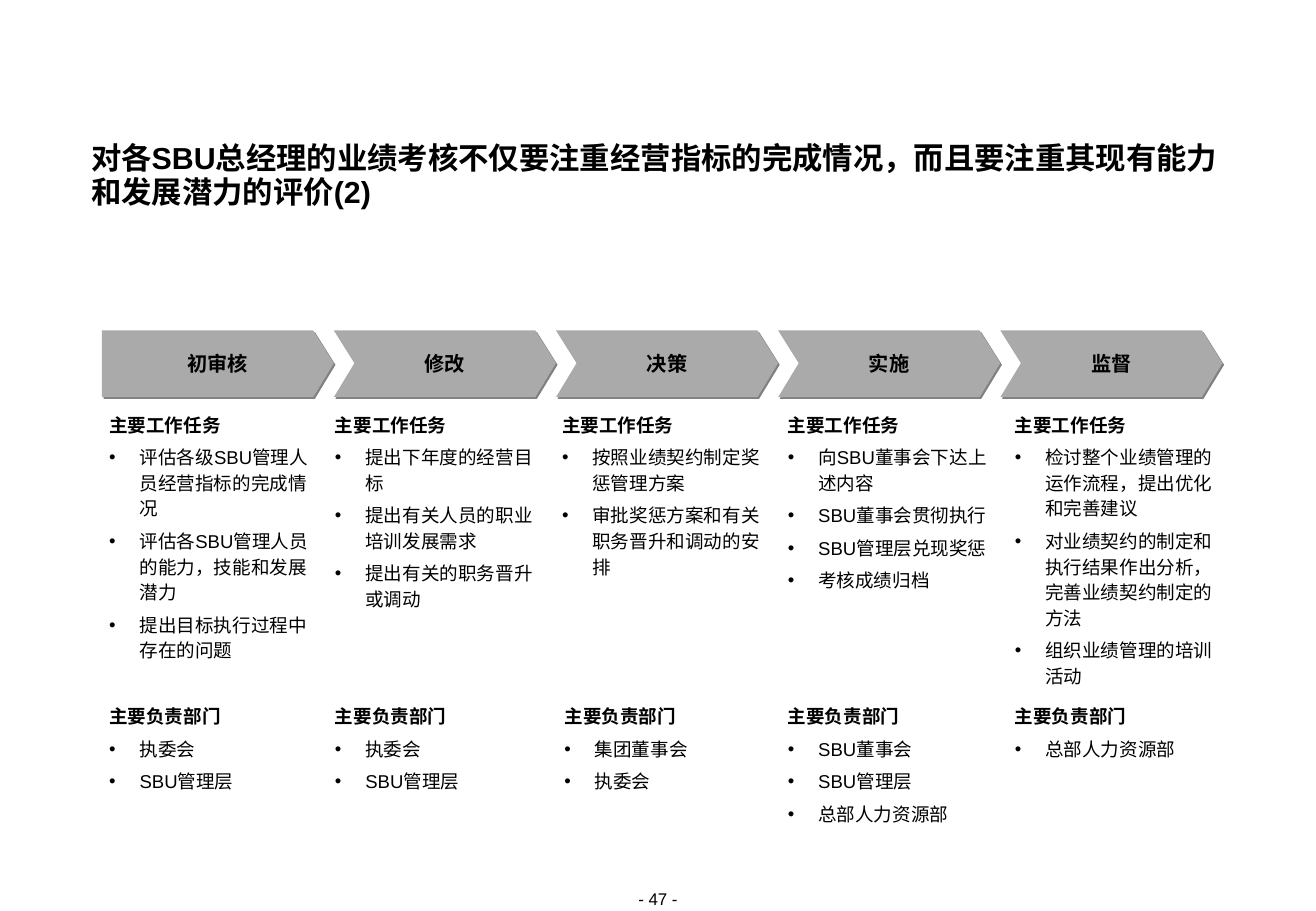
from dataclasses import dataclass

from lxml import etree
from pptx import Presentation
from pptx import util as u
from pptx.dml.color import RGBColor
from pptx.enum import lang, text
from pptx.oxml import ns

# Content
TITLE = "对各SBU总经理的业绩考核不仅要注重经营指标的完成情况，而且要注重其现有能力和发展潜力的评价(2)"
PAGE_NUMBER = "- 47 -"
TASKS_HEADING = "主要工作任务"
OWNERS_HEADING = "主要负责部门"
STEPS = [
    ("初审核",
     ["评估各级SBU管理人员经营指标的完成情况",
      "评估各SBU管理人员的能力，技能和发展潜力",
      "提出目标执行过程中存在的问题"],
     ["执委会", "SBU管理层"]),
    ("修改",
     ["提出下年度的经营目标", "提出有关人员的职业培训发展需求", "提出有关的职务晋升或调动"],
     ["执委会", "SBU管理层"]),
    ("决策",
     ["按照业绩契约制定奖惩管理方案", "审批奖惩方案和有关职务晋升和调动的安排"],
     ["集团董事会", "执委会"]),
    ("实施",
     ["向SBU董事会下达上述内容", "SBU董事会贯彻执行", "SBU管理层兑现奖惩", "考核成绩归档"],
     ["SBU董事会", "SBU管理层", "总部人力资源部"]),
    ("监督",
     ["检讨整个业绩管理的运作流程，提出优化和完善建议",
      "对业绩契约的制定和执行结果作出分析，完善业绩契约制定的方法",
      "组织业绩管理的培训活动"],
     ["总部人力资源部"]),
]


@dataclass(frozen=True)
class Theme:
    font: str = "Arial"
    ink: str = "000000"
    arrow: str = "AAAAAA"
    shadow: str = "808080"
    title: int = 18
    step: int = 12
    body: int = 11
    page_number: int = 10


THEME = Theme()

# Layout in px, 100 px to the inch
PX = 9144
SLIDE = (1084, 750)
TITLE_BOX = (75, 117, 933, 56)
PAGE_NUMBER_BOX = (485, 732, 114, 17)
ARROW_LEFT, ARROW_TOP, ARROW_HEIGHT = 84, 272, 55
ARROW_SECOND, ARROW_PITCH, ARROW_POINT = 275, 183, 17
COLUMN_LEFT, COLUMN_SPAN, COLUMN_WIDTH = 90, 746, 166
TASKS_TOP, TASKS_HEIGHT = 338, 207
OWNERS_TOP, OWNERS_HEIGHT = 578, 75
INDENT = 25


def px(length):
    return u.Emu(length * PX)


def add_span(para, words, size, bold=False):
    span = para.add_run()
    span.text = words
    span.font.name = THEME.font
    span.font.size = u.Pt(size)
    span.font.bold = bold
    span.font.color.rgb = RGBColor.from_string(THEME.ink)
    span.font.language_id = lang.MSO_LANGUAGE_ID.SIMPLIFIED_CHINESE


def clear_margins(frame):
    frame.margin_left = frame.margin_right = 0
    frame.margin_top = frame.margin_bottom = 0


def add_box(page, bounds):
    frame = page.shapes.add_textbox(*map(px, bounds)).text_frame
    clear_margins(frame)
    frame.word_wrap = True
    return frame


def hang(para, bullet):
    props = para._p.get_or_add_pPr()
    props.set("marL", str(px(INDENT)))
    props.set("indent", str(-px(INDENT)))
    if bullet:
        etree.SubElement(props, ns.qn("a:buFont"), typeface=THEME.font)
        etree.SubElement(props, ns.qn("a:buChar"), char="•")


def add_list(page, bounds, heading, items):
    frame = add_box(page, bounds)
    for number, words in enumerate([heading, *items]):
        para = frame.add_paragraph() if number else frame.paragraphs[0]
        hang(para, bullet=number > 0)
        para.line_spacing = 1.15
        if number:
            para.space_before = u.Pt(4.1)
        add_span(para, words, THEME.body, bold=number == 0)


def add_shadow(shape):
    effects = etree.SubElement(shape._element.spPr, ns.qn("a:effectLst"))
    shadow = etree.SubElement(effects, ns.qn("a:outerShdw"), blurRad="0",
                              dist=str(u.Pt(1.4)), dir="2700000",
                              algn="ctr", rotWithShape="0")
    etree.SubElement(shadow, ns.qn("a:srgbClr"), val=THEME.shadow)


def add_arrow(page, index, label):
    right = ARROW_SECOND + index * ARROW_PITCH
    left = right - ARROW_PITCH if index else ARROW_LEFT
    bottom = ARROW_TOP + ARROW_HEIGHT
    middle = ARROW_TOP + ARROW_HEIGHT // 2
    outline = [(right - ARROW_POINT, ARROW_TOP), (right, middle),
               (right - ARROW_POINT, bottom), (left, bottom)]
    if index:
        outline.append((left + ARROW_POINT, middle))
    builder = page.shapes.build_freeform(left, ARROW_TOP, scale=PX)
    builder.add_line_segments(outline, close=True)
    arrow = builder.convert_to_shape()
    arrow.fill.solid()
    arrow.fill.fore_color.rgb = RGBColor.from_string(THEME.arrow)
    arrow.line.fill.background()
    add_shadow(arrow)

    frame = arrow.text_frame
    clear_margins(frame)
    frame.word_wrap = False
    frame.vertical_anchor = text.MSO_ANCHOR.MIDDLE
    para = frame.paragraphs[0]
    para.alignment = text.PP_ALIGN.CENTER
    para.line_spacing = u.Pt(14)
    add_span(para, label, THEME.step, bold=True)


def main():
    deck = Presentation()
    deck.slide_width, deck.slide_height = map(px, SLIDE)
    page = deck.slides.add_slide(deck.slide_layouts[6])

    # Title
    para = add_box(page, TITLE_BOX).paragraphs[0]
    para.line_spacing = u.Pt(20)
    add_span(para, TITLE, THEME.title, bold=True)

    # Process steps with their tasks and owners
    for index, (label, tasks, owners) in enumerate(STEPS):
        left = COLUMN_LEFT + COLUMN_SPAN * index // (len(STEPS) - 1)
        add_arrow(page, index, label)
        add_list(page, (left, TASKS_TOP, COLUMN_WIDTH, TASKS_HEIGHT),
                 TASKS_HEADING, tasks)
        # The middle owners list sits slightly further right
        nudge = 2 if label == "决策" else 0
        add_list(page, (left + nudge, OWNERS_TOP, COLUMN_WIDTH, OWNERS_HEIGHT),
                 OWNERS_HEADING, owners)

    # Page number
    para = add_box(page, PAGE_NUMBER_BOX).paragraphs[0]
    para.alignment = text.PP_ALIGN.CENTER
    add_span(para, PAGE_NUMBER, THEME.page_number)

    deck.save("out.pptx")


if __name__ == "__main__":
    main()
